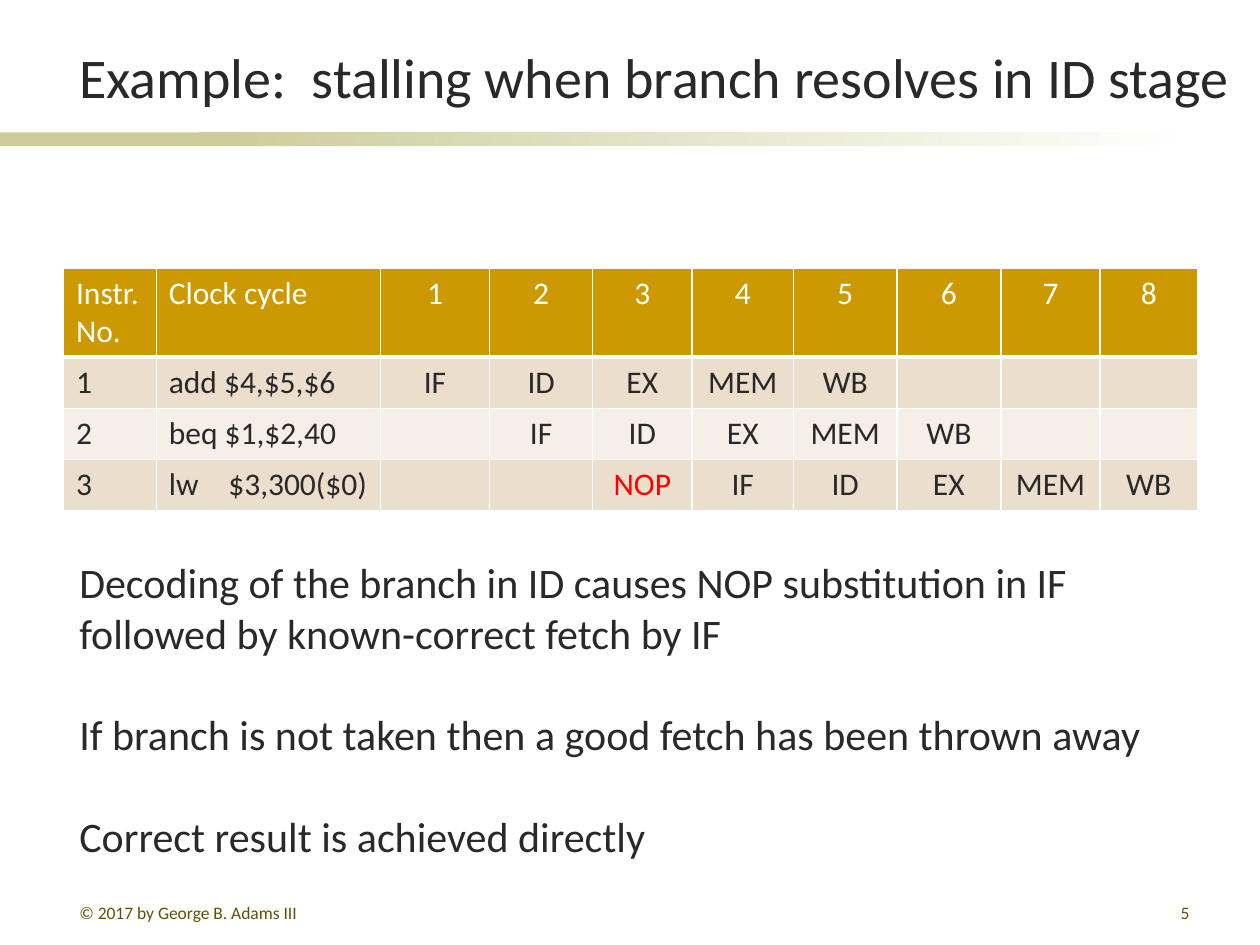
from lxml.etree import SubElement as Sub
from pptx import Presentation
from pptx.dml.color import RGBColor as RGB
from pptx.enum.shapes import MSO_SHAPE as Shape
from pptx.enum.text import MSO_ANCHOR as Anchor, PP_ALIGN as Align
from pptx.oxml.ns import qn
from pptx.util import Cm, Pt

FONT = "Calibri"
HEX = {
    "ink": "292929", "white": "FFFFFF", "sage": "CCCC99", "gold": "CC9900",
    "sand": "ECDECC", "cream": "F6EFE7", "red": "FF0000", "brown": "664D00",
}
WIDTHS = [1.87, 4.52, 2.2, 2.08, 2, 2.05, 2.08, 2.1, 2, 1.96]
HEIGHTS = [1.8, 1.03, 1.03, 1.03]
STAGES = ["IF", "ID", "EX", "MEM", "WB"]
# Instruction and the stages it passes, from the cycle it enters
CODE = [
    ("add $4,$5,$6", 1, STAGES),
    ("beq $1,$2,40", 2, STAGES),
    ("lw\t$3,300($0)", 3, ["NOP"] + STAGES),
]
NOTES = [
    "Decoding of the branch in ID causes NOP substitution in IF "
    "followed by known-correct fetch by IF",
    "If branch is not taken then a good fetch has been thrown away",
    "Correct result is achieved directly",
]


def color(name):
    return RGB.from_string(HEX[name])


def style(para, size, ink, align=Align.LEFT):
    para.alignment = align
    for run in para.runs:
        font = run.font
        font.name, font.size, font.bold = FONT, Pt(size), False
        font.color.rgb = color(ink)


def add_text(slide, box, lines, size, ink, align=Align.LEFT,
             anchor=Anchor.TOP, gap=0):
    frame = slide.shapes.add_textbox(*map(Cm, box)).text_frame
    frame.word_wrap = True
    frame.vertical_anchor = anchor
    frame.text = "\n".join(lines)
    for i, para in enumerate(frame.paragraphs):
        style(para, size, ink, align)
        para.space_before = Pt(gap if i else 0)


def add_bar(slide, left, width, fade=False):
    bar = slide.shapes.add_shape(
        Shape.RECTANGLE, Cm(left), Cm(2.67), Cm(width), Cm(0.28))
    bar.shadow.inherit = False
    bar.line.fill.background()
    if fade:
        bar.fill.gradient()
        bar.fill.gradient_angle = 0
        for stop, name in zip(bar.fill.gradient_stops, ("sage", "white")):
            stop.color.rgb = color(name)
    else:
        bar.fill.solid()
        bar.fill.fore_color.rgb = color("sage")


def add_edges(cell, low):
    props = cell._tc.get_or_add_tcPr()
    for side, width in (("L", 1), ("R", 1), ("T", 1), ("B", low)):
        line = Sub(props, qn("a:ln" + side), w=str(Pt(width)))
        Sub(Sub(line, qn("a:solidFill")), qn("a:srgbClr"), val=HEX["white"])


def add_tab(para, pos):
    tabs = Sub(para._p.get_or_add_pPr(), qn("a:tabLst"))
    Sub(tabs, qn("a:tab"), pos=str(Cm(pos)), algn="l")


def fill_cell(cell, text, fill, ink, align, low):
    add_edges(cell, low)
    cell.fill.solid()
    cell.fill.fore_color.rgb = color(fill)
    cell.text = text
    para = cell.text_frame.paragraphs[0]
    style(para, 18, ink, align)
    if not text:
        para.font.size = Pt(18)
    if "\t" in text:
        add_tab(para, 1.2)


def get_rows():
    count = len(WIDTHS) - 2
    rows = [["Instr. No.", "Clock cycle"] + [str(n + 1) for n in range(count)]]
    for num, (code, start, steps) in enumerate(CODE, 1):
        lane = [""] * (start - 1) + steps
        rows.append([str(num), code] + lane + [""] * (count - len(lane)))
    return rows


def add_grid(slide):
    rows = get_rows()
    grid = slide.shapes.add_table(
        len(rows), len(WIDTHS), Cm(1.28), Cm(5.4),
        Cm(sum(WIDTHS)), Cm(sum(HEIGHTS))).table
    for col, width in zip(grid.columns, WIDTHS):
        col.width = Cm(width)
    for r, row in enumerate(rows):
        grid.rows[r].height = Cm(HEIGHTS[r])
        fill = "gold" if r == 0 else ("cream", "sand")[r % 2]
        for c, text in enumerate(row):
            ink = "white" if r == 0 else "red" if text == "NOP" else "ink"
            align = Align.LEFT if c < 2 else Align.CENTER
            fill_cell(grid.cell(r, c), text, fill, ink, align,
                      1 if r else 3)


def main():
    deck = Presentation()
    deck.slide_width, deck.slide_height = Cm(25.4), Cm(19.05)
    slide = deck.slides.add_slide(deck.slide_layouts[6])

    # Title and rule
    add_bar(slide, 0, 5.92)
    add_bar(slide, 4.01, 20.12, fade=True)
    add_text(slide, (1.35, 0.28, 24.05, 2.06),
             ["Example:  stalling when branch resolves in ID stage"],
             32, "ink", anchor=Anchor.BOTTOM)

    # Pipeline table and remarks
    add_grid(slide)
    add_text(slide, (1.35, 11.1, 22.1, 6.4), NOTES, 24, "ink", gap=29.3)

    # Footer
    add_text(slide, (1.35, 18.06, 5.51, 0.53),
             ["© 2017 by George B. Adams III"], 10, "brown")
    add_text(slide, (18.95, 18.06, 5.28, 0.53), ["5"], 10, "brown",
             Align.RIGHT)
    deck.save("out.pptx")


main()
